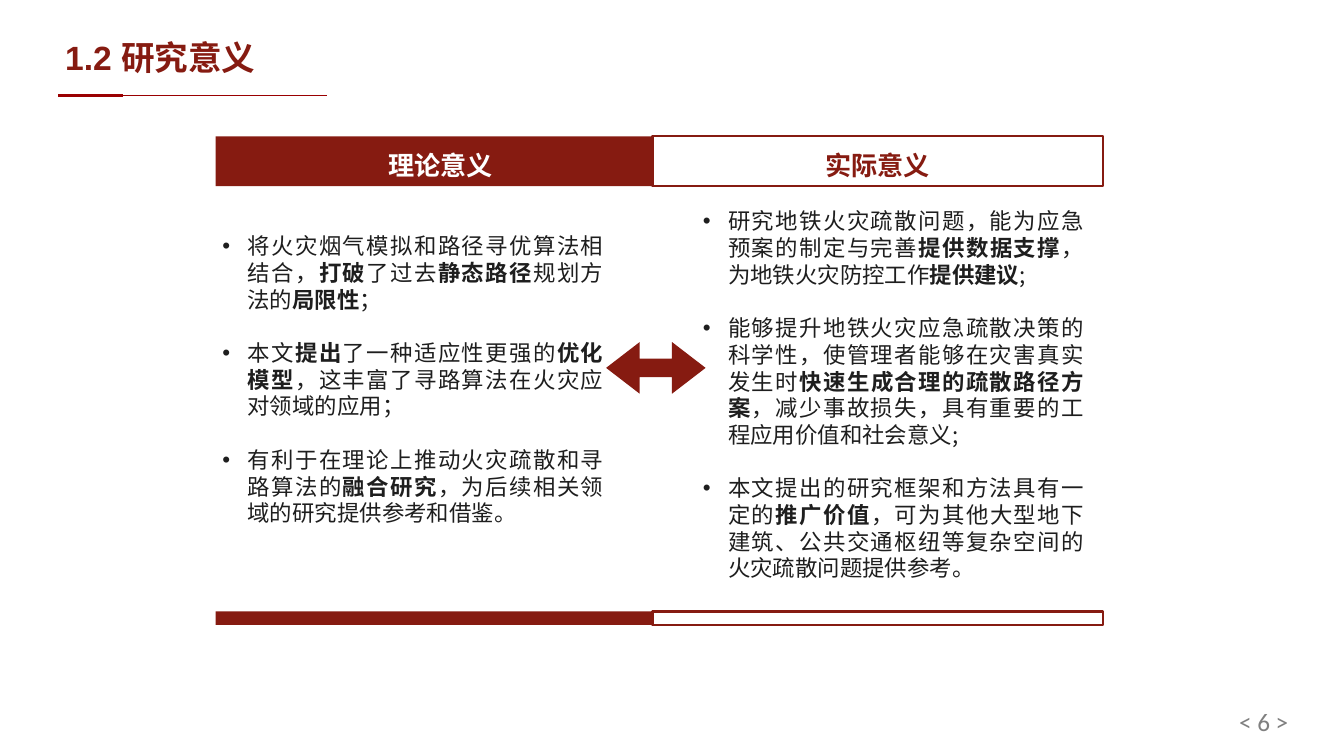
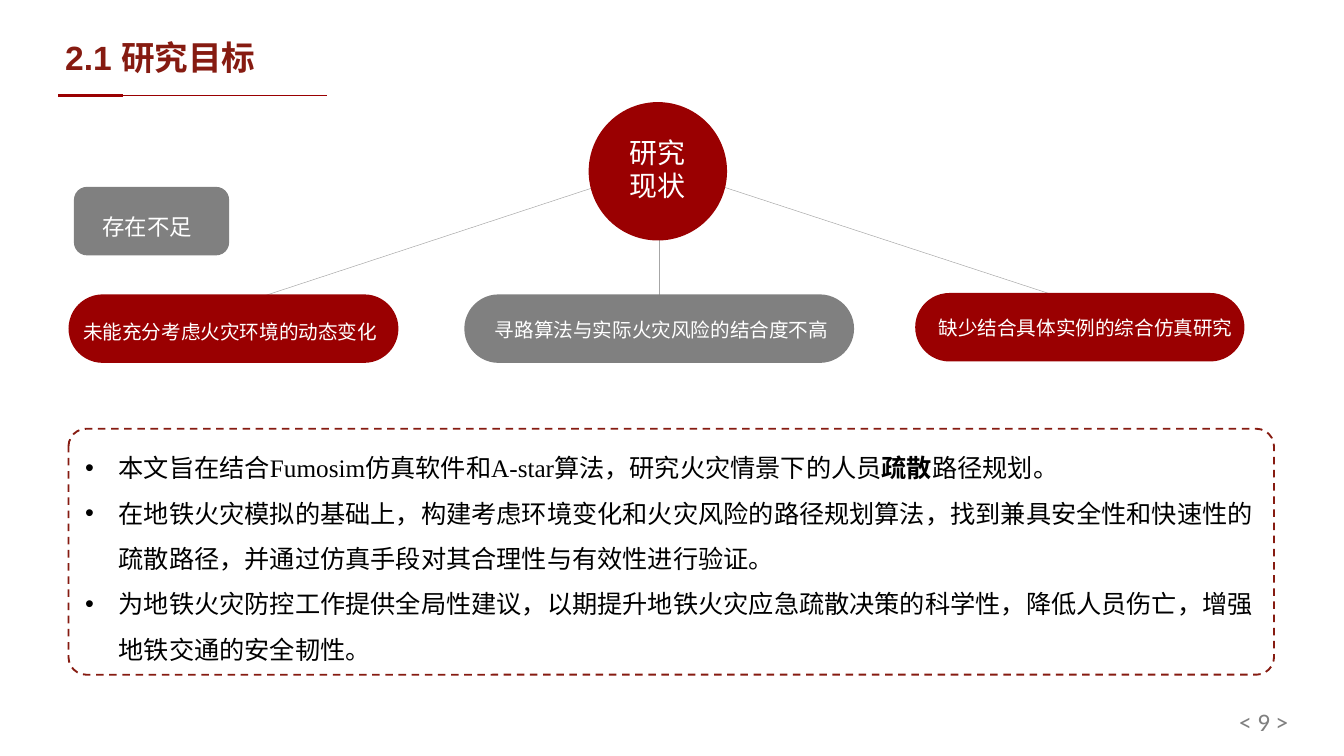
from pptx import Presentation
from pptx.util import Pt
from pptx.dml.color import RGBColor
from pptx.enum import dml, shapes, text
from pptx.oxml.ns import qn
from lxml import etree

WINE, RED, GRAY, LIGHT_GRAY = "861B11", "9A0001", "808080", "A6A6A6"
WHITE, INK, BLACK = "FFFFFF", "1E1E1E", "000000"
CJK, ARIAL, CALIBRI, TIMES = "Noto Sans CJK SC", "Arial", "Calibri", "Times New Roman"
SHAPE, ALIGN, ANCHOR = shapes.MSO_SHAPE, text.PP_ALIGN, text.MSO_ANCHOR


def color(hex_code):
    return RGBColor.from_string(hex_code)


def bold(words):
    return words, {"is_bold": True}


def latin(words):
    return words, {"font": TIMES}


def add_run(p, words, size, font, hex_code, is_bold=False):
    r = p.add_run()
    r.text = words
    r.font.size, r.font.name, r.font.bold = Pt(size), font, is_bold
    r.font.color.rgb = color(hex_code)
    etree.SubElement(r._r.get_or_add_rPr(), qn("a:ea"), typeface=CJK)


def add_bullet(p, indent):
    pPr = p._p.get_or_add_pPr()
    pPr.set("marL", str(Pt(indent)))
    pPr.set("indent", str(-Pt(indent)))
    etree.SubElement(pPr, qn("a:buFont"), typeface=ARIAL)
    etree.SubElement(pPr, qn("a:buChar"), char="•")


def add_text(s, box, words, size, font, hex_code, is_bold=False, align=ALIGN.CENTER,
             spacing=None, anchor=ANCHOR.TOP, inset=True):
    """Add a text box holding one paragraph."""
    tf = add_frame(s, box, anchor, inset)
    p = tf.paragraphs[0]
    p.alignment, p.line_spacing = align, spacing
    add_run(p, words, size, font, hex_code, is_bold)


def add_frame(s, box, anchor=ANCHOR.TOP, inset=True):
    tf = s.shapes.add_textbox(*map(Pt, box)).text_frame
    tf.word_wrap, tf.vertical_anchor = True, anchor
    if not inset:
        tf.margin_left = tf.margin_top = tf.margin_right = tf.margin_bottom = 0
    return tf


def add_bullets(tf, items, size, hex_code, indent, spacing, align=None, gap=0):
    """Fill a frame with bulleted items, each a list of plain or styled runs."""
    for i, item in enumerate(items):
        p = tf.add_paragraph() if i else tf.paragraphs[0]
        add_bullet(p, indent)
        p.alignment, p.line_spacing = align, spacing
        if i and gap:
            p.space_before = Pt(gap)
        for part in item:
            words, style = (part, {}) if isinstance(part, str) else part
            add_run(p, words, **{"size": size, "font": CJK, "hex_code": hex_code, **style})


def add_block(s, kind, box, fill, line=None, width=1, adjust=()):
    sp = s.shapes.add_shape(kind, *map(Pt, box))
    sp.shadow.inherit = False
    sp.fill.solid()
    sp.fill.fore_color.rgb = color(fill)
    if line:
        sp.line.color.rgb, sp.line.width = color(line), Pt(width)
    else:
        sp.line.fill.background()
    for i, value in enumerate(adjust):
        sp.adjustments[i] = value
    return sp


def add_line(s, x1, y1, x2, y2, hex_code, width):
    line = s.shapes.add_connector(shapes.MSO_CONNECTOR.STRAIGHT, *map(Pt, (x1, y1, x2, y2)))
    line.line.color.rgb, line.line.width = color(hex_code), Pt(width)
    etree.SubElement(line._element.spPr, qn("a:effectLst"))


def add_titled_slide(prs, title, number):
    """Add a slide with the shared title, underline and page number."""
    s = prs.slides.add_slide(prs.slide_layouts[5])
    for end, width in ((350, 0.75), (131.8, 3)):
        add_line(s, 62.6, 102.2, end, 102.2, RED, width)
    sp = s.shapes.title
    sp.left, sp.top, sp.width, sp.height = map(Pt, (62.6, 27.4, 1070, 72.7))
    tf = sp.text_frame
    tf.auto_size, tf.vertical_anchor = text.MSO_AUTO_SIZE.NONE, ANCHOR.MIDDLE
    p = tf.paragraphs[0]
    p.alignment, p.line_spacing = ALIGN.LEFT, 0.9
    add_run(p, title, 36, ARIAL, WINE, True)
    add_text(s, (1063.4, 755.3, 324, 34.6), f"< {number} >", 27, CALIBRI, GRAY,
             align=ALIGN.RIGHT, anchor=ANCHOR.MIDDLE)
    return s


def add_column(s, box, heading, items, body_offset, filled):
    """Add a heading band, bulleted text and a closing bar."""
    x, y, w, h = box
    band_h, bar_h = 53.3, 14.4
    fill, line, heading_color = (WINE, None, WHITE) if filled else (WHITE, WINE, WINE)
    for top, height in ((y, band_h), (y + h - bar_h, bar_h)):
        add_block(s, SHAPE.RECTANGLE, (x, top, w, height), fill, line, 2.25)
    add_text(s, (x + 113, y + 3.6, 256.3, 43.9), heading, 28, CJK, heading_color, True,
             spacing=Pt(43.7), inset=False)
    dx, dy = body_offset
    tf = add_frame(s, (x + dx, y + dy, 408.2, h - dy - 43), inset=False)
    add_bullets(tf, items, 24, INK, 27, Pt(28.6), ALIGN.JUSTIFY, gap=28.6)


def add_label_block(s, box, fill, words, label_offset, label_w, size=21, corner=0.5):
    """Add a rounded block with its label set at an offset."""
    x, y, _, _ = box
    dx, dy = label_offset
    add_block(s, SHAPE.ROUNDED_RECTANGLE, box, fill, adjust=[corner])
    add_text(s, (x + dx, y + dy, label_w, 51.1), words, size, ARIAL, WHITE,
             spacing=1.2, anchor=ANCHOR.MIDDLE, inset=False)


def add_status_circle(s, box, words):
    x, y, w, h = box
    add_block(s, SHAPE.OVAL, box, RED)
    add_text(s, (x + 30.2, y + 31.7, 87.8, 79.9), words, 30, CJK, WHITE)


def add_goal_panel(s, box, items):
    x, y, w, h = box
    panel = add_block(s, SHAPE.ROUNDED_RECTANGLE, box, WHITE, WINE, 2, [0.072])
    panel.line.dash_style = dml.MSO_LINE.DASH
    tf = add_frame(s, (x + 10.8, y + 5.6, w - 23.8, h - 10.8))
    add_bullets(tf, items, 27, BLACK, 36, 1.5)


def build_significance(prs):
    s = add_titled_slide(prs, "1.2 研究意义", 6)
    theory = [
        ["将火灾烟气模拟和路径寻优算法相结合，", bold("打破"), "了过去", bold("静态路径"),
         "规划方法的", bold("局限性"), "；"],
        ["本文", bold("提出"), "了一种适应性更强的", bold("优化模型"),
         "，这丰富了寻路算法在火灾应对领域的应用；"],
        ["有利于在理论上推动火灾疏散和寻路算法的", bold("融合研究"),
         "，为后续相关领域的研究提供参考和借鉴。"],
    ]
    practice = [
        ["研究地铁火灾疏散问题，能为应急预案的制定与完善", bold("提供数据支撑"),
         "，为地铁火灾防控工作", bold("提供建议"), ";"],
        ["能够提升地铁火灾应急疏散决策的科学性，使管理者能够在灾害真实发生时",
         bold("快速生成合理的疏散路径方案"),
         "，减少事故损失，具有重要的工程应用价值和社会意义;"],
        ["本文提出的研究框架和方法具有一定的", bold("推广价值"),
         "，可为其他大型地下建筑、公共交通枢纽等复杂空间的火灾疏散问题提供参考。"],
    ]
    columns = (("理论意义", theory, (7.2, 103), True),
               ("实际意义", practice, (54, 76.3), False))
    for i, column in enumerate(columns):
        add_column(s, (231.1 + 468 * i, 146.2, 482.8, 523.4), *column)
    add_block(s, SHAPE.LEFT_RIGHT_ARROW, (649.4, 366.5, 106.6, 55.4), WINE,
              adjust=[0.36, 0.65])


def build_goals(prs):
    s = add_titled_slide(prs, "2.1 研究目标", 9)
    add_goal_panel(s, (73.4, 459.4, 1291.7, 263.5), [
        ["本文旨在结合", latin("Fumosim"), "仿真软件和", latin("A-star"),
         "算法，研究火灾情景下的人员", bold("疏散"), "路径规划。"],
        ["在地铁火灾模拟的基础上，构建考虑环境变化和火灾风险的路径规划算法，"
         "找到兼具安全性和快速性的疏散路径，并通过仿真手段对其合理性与有效性进行验证。"],
        ["为地铁火灾防控工作提供全局性建议，以期提升地铁火灾应急疏散决策的科学性，"
         "降低人员伤亡，增强地铁交通的安全韧性。"],
    ])
    for x, y in ((706.3, 347.8), (1221.1, 346.3), (189.4, 347.8)):
        add_line(s, 706.3, 177.8, x, y, LIGHT_GRAY, 0.5)
    shortcomings = (
        (73.4, 315.4, 353.5, RED, "未能充分考虑火灾环境的动态变化", (2.9, 11.5), 340.6),
        (497.5, 315.4, 417.6, GRAY, "寻路算法与实际火灾风险的结合度不高", (26.6, 10), 369.4),
        (980.6, 313.9, 352.8, RED, "缺少结合具体实例的综合仿真研究", (14.4, 8.7), 336.2),
    )
    for x, y, w, *label in shortcomings:
        add_label_block(s, (x, y, w, 73.4), *label)
    add_status_circle(s, (630.7, 109.4, 148.3, 148.3), "研究现状")
    add_label_block(s, (79.2, 200.2, 166.3, 73.4), GRAY, "存在不足", (-1.4, 13.7), 159.8,
                    size=24, corner=0.19)


def main():
    prs = Presentation()
    prs.slide_width, prs.slide_height = Pt(1440), Pt(810)
    build_significance(prs)
    build_goals(prs)
    prs.save("out.pptx")


if __name__ == "__main__":
    main()
